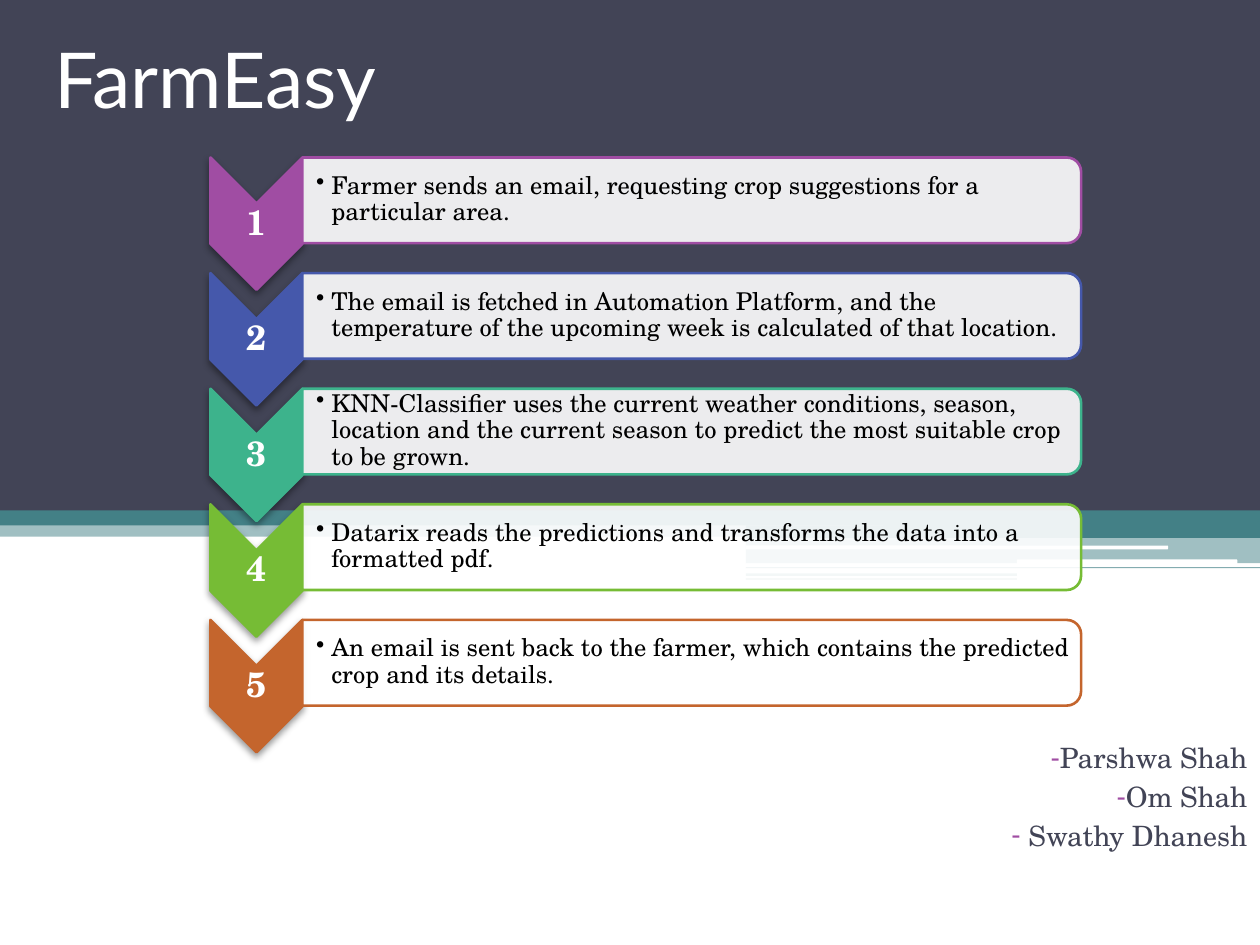
"""Build the FarmEasy five-step workflow slide."""
from dataclasses import dataclass

from lxml.etree import SubElement
from pptx import Presentation
from pptx.dml.color import RGBColor
from pptx.enum.shapes import MSO_SHAPE
from pptx.enum.text import MSO_ANCHOR, PP_ALIGN
from pptx.oxml.ns import qn
from pptx.util import Inches, Pt


@dataclass(frozen=True)
class Theme:
    dark: str = "424456"
    teal: str = "438086"
    white: str = "FFFFFF"
    black: str = "000000"
    accent: str = "A04DA3"
    steps: tuple = ("A04DA3", "4558AB", "3DB38C", "76BC35", "C4652D")
    heading: str = "Lato"
    body: str = "TeX Gyre Schola"
    title_size: int = 44
    number_size: int = 20
    author_size: int = 16
    step_size: int = 14


theme = Theme()
prs = Presentation()
prs.slide_width, prs.slide_height = Inches(10), Inches(7.5)
s = prs.slides.add_slide(prs.slide_layouts[0])


def add_box(kind, box, fill, alpha=100, line=None):
    sp = s.shapes.add_shape(kind, *map(Inches, box))
    sp.shadow.inherit = False
    sp.fill.solid()
    sp.fill.fore_color.rgb = RGBColor.from_string(fill)
    if alpha < 100:
        color = sp.element.spPr.find(qn("a:solidFill"))[0]
        SubElement(color, qn("a:alpha"), val=str(alpha * 1000))
    if line:
        sp.line.color.rgb = RGBColor.from_string(line)
        sp.line.width = Pt(1.5)
    else:
        sp.line.fill.background()
    return sp


def format_text(p, font, size, color, align, bullet=None, margin=0, indent=0):
    p.font.name, p.font.size = font, Pt(size)
    p.font.color.rgb = RGBColor.from_string(color)
    p.alignment = align
    if bullet:
        char, bullet_color = bullet
        pPr = p._p.get_or_add_pPr()
        pPr.set("marL", str(Inches(margin)))
        pPr.set("indent", str(Inches(indent)))
        bu = pPr.makeelement(qn("a:buClr"))
        SubElement(bu, qn("a:srgbClr"), val=bullet_color)
        mark = pPr.makeelement(qn("a:buChar"), char=char)
        defaults = pPr.find(qn("a:defRPr"))
        defaults.addprevious(bu)
        defaults.addprevious(mark)


RECT, ROUND = MSO_SHAPE.RECTANGLE, MSO_SHAPE.ROUNDED_RECTANGLE
bands = [
    (RECT, (5.92, 4.17, 4.08, 0.1), theme.teal, 100),
    (RECT, (5.92, 4.26, 4.08, 0.21), theme.teal, 50),
    (RECT, (5.92, 4.5, 4.08, 0.01), theme.teal, 65),
    (RECT, (5.92, 4.55, 2.15, 0.02), theme.teal, 60),
    (RECT, (5.92, 4.59, 2.15, 0.01), theme.teal, 65),
    (ROUND, (5.92, 4.33, 3.35, 0.03), theme.white, 100),
    (ROUND, (8.07, 4.44, 1.75, 0.04), theme.white, 100),
    (RECT, (0, 3.99, 10, 0.27), theme.teal, 50),
    (RECT, (0, 4.02, 10, 0.15), theme.teal, 100),
    (RECT, (7.01, 3.98, 2.99, 0.27), theme.teal, 100),
    (RECT, (0, 0, 10, 4.05), theme.dark, 100),
]
for band in bands:
    add_box(*band)

title, authors = s.placeholders
for holder, box in ((title, (0.33, -0.58, 8.5, 1.61)),
                    (authors, (3, 5.83, 7, 1.92))):
    holder.left, holder.top, holder.width, holder.height = map(Inches, box)
    holder.element.getparent().append(holder.element)

title.text_frame.text = "FarmEasy"
title.text_frame.vertical_anchor = MSO_ANCHOR.BOTTOM
format_text(title.text_frame.paragraphs[0], theme.heading, theme.title_size,
            theme.white, PP_ALIGN.LEFT)

authors.text_frame.text = "Parshwa Shah\nOm Shah\n Swathy Dhanesh"
authors.text_frame.vertical_anchor = MSO_ANCHOR.TOP
for p in authors.text_frame.paragraphs:
    p.space_before = Pt(3)
    format_text(p, theme.body, theme.author_size, theme.dark, PP_ALIGN.RIGHT,
                ("-", theme.accent), 0.07)

steps = [
    "Farmer sends an email, requesting crop suggestions for a particular area.",
    "The email is fetched in Automation Platform, and the temperature of the "
    "upcoming week is calculated of that location.",
    "KNN-Classifier uses the current weather conditions, season, location and "
    "the current season to predict the most suitable crop to be grown.",
    "Datarix reads the predictions and transforms the data into a formatted pdf.",
    "An email is sent back to the farmer, which contains the predicted crop "
    "and its details.",
]
first_top, pitch = 1.41, 0.9175
for i, (step, color) in enumerate(zip(steps, theme.steps)):
    top = first_top + i * pitch
    chevron = add_box(MSO_SHAPE.CHEVRON, (1.51, top, 1.05, 0.73), color, line=color)
    chevron.rotation = 90
    effects = chevron.element.spPr.find(qn("a:effectLst"))
    shadow = SubElement(effects, qn("a:outerShdw"), blurRad=str(Pt(4.1)),
                        dist=str(Pt(2)), dir="5400000", rotWithShape="0")
    shade = SubElement(shadow, qn("a:srgbClr"), val=theme.black)
    SubElement(shade, qn("a:alpha"), val="40000")

    panel = add_box(MSO_SHAPE.ROUND_2_SAME_RECTANGLE,
                    (5.15, top - 2.91, 0.68, 6.18), theme.white, 90, color)
    panel.rotation = 90

    labels = [
        (str(i + 1), (1.67, top + 0.21, 0.73, 0.31), 0.01, True,
         (theme.number_size, theme.white, PP_ALIGN.CENTER)),
        (step, (2.4, top - 0.13, 6.15, 0.61), 0.11, False,
         (theme.step_size, theme.black, PP_ALIGN.LEFT,
          ("•", theme.black), 0.12, -0.12)),
    ]
    for text, box, inset, bold, style in labels:
        tf = s.shapes.add_textbox(*map(Inches, box)).text_frame
        tf.word_wrap = True
        tf.vertical_anchor = MSO_ANCHOR.MIDDLE
        tf.margin_left = Inches(inset)
        tf.margin_top = tf.margin_right = tf.margin_bottom = Inches(0.01)
        tf.text = text
        p = tf.paragraphs[0]
        p.line_spacing = 0.9
        p.font.bold = bold
        format_text(p, theme.body, *style)

prs.save("out.pptx")
